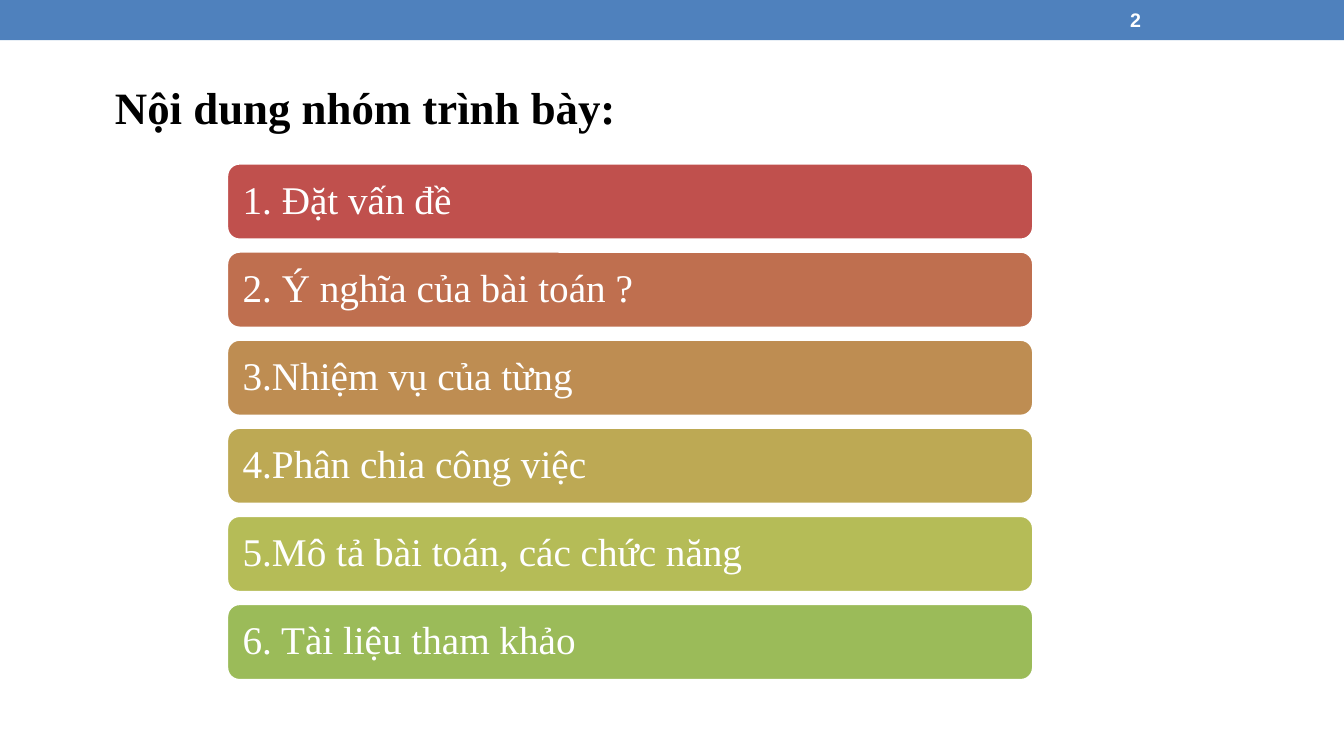
from dataclasses import dataclass

from pptx import Presentation
from pptx.dml.color import RGBColor
from pptx.enum.shapes import MSO_SHAPE
from pptx.enum.text import MSO_ANCHOR, MSO_AUTO_SIZE, PP_ALIGN
from pptx.util import Pt

TITLE = "Nội dung nhóm trình bày:"
PAGE = "2"
ITEMS = [
    ("1. Đặt vấn đề", "C0504D"),
    ("2. Ý nghĩa của bài toán ?", "BF6F4F"),
    ("3.Nhiệm vụ của từng", "BE8D52"),
    ("4.Phân chia công việc", "BDA954"),
    ("5.Mô tả bài toán, các chức năng", "B5BC57"),
    ("6. Tài liệu tham khảo", "9BBB59"),
]


@dataclass(frozen=True)
class Theme:
    serif: str = "Times New Roman"
    sans: str = "Arial"
    white: str = "FFFFFF"
    black: str = "000000"
    blue: str = "4F81BD"
    title: int = 32
    item: int = 28
    page: int = 14


LOOK = Theme()
SCALE = 9144  # EMU per px, 100 px to the inch
WIDE, HIGH = 1333, 750
LEFT, BAR_W, BAR_H = 225, 800, 76
FIRST, LAST = 162, 599  # tops of the first and last bar
STEP = (LAST - FIRST) / (len(ITEMS) - 1)
INSET = 12


def px(num):
    return round(num * SCALE)


def write(frame, text, size, font, color, bold=False):
    para = frame.paragraphs[0]
    para.alignment = PP_ALIGN.LEFT
    run = para.add_run()
    run.text = text
    run.font.size = Pt(size)
    run.font.name = font
    run.font.bold = bold
    run.font.color.rgb = RGBColor.from_string(color)
    return para


def add_block(slide, kind, box, color):
    shape = slide.shapes.add_shape(kind, *map(px, box))
    shape.shadow.inherit = False
    shape.fill.solid()
    shape.fill.fore_color.rgb = RGBColor.from_string(color)
    return shape


def add_head(slide):
    """Add the top band, the page number and the title."""
    band = add_block(slide, MSO_SHAPE.RECTANGLE, (0, 0, WIDE, 40), LOOK.blue)
    band.line.fill.background()

    page = slide.shapes.add_textbox(*map(px, (1111, 2, 156, 36))).text_frame
    page.word_wrap = True
    page.vertical_anchor = MSO_ANCHOR.MIDDLE
    write(page, PAGE, LOOK.page, LOOK.sans, LOOK.white, True)

    title = slide.shapes.title
    title.left, title.top, title.width, title.height = map(px, (104, 74, 521, 64))
    frame = title.text_frame
    frame.word_wrap = False
    frame.auto_size = MSO_AUTO_SIZE.SHAPE_TO_FIT_TEXT
    frame.vertical_anchor = MSO_ANCHOR.TOP
    write(frame, TITLE, LOOK.title, LOOK.serif, LOOK.black, True)


def add_bar(slide, row, text, color):
    box = (LEFT, FIRST + row * STEP, BAR_W, BAR_H)
    bar = add_block(slide, MSO_SHAPE.ROUNDED_RECTANGLE, box, color)
    bar.line.color.rgb = RGBColor.from_string(LOOK.white)
    bar.line.width = Pt(2)
    frame = bar.text_frame
    frame.word_wrap = True
    frame.vertical_anchor = MSO_ANCHOR.MIDDLE
    frame.margin_left = frame.margin_right = px(INSET)
    frame.margin_top = frame.margin_bottom = px(INSET)
    para = write(frame, text, LOOK.item, LOOK.serif, LOOK.white)
    para.line_spacing = 0.9


def main():
    deck = Presentation()
    deck.slide_width, deck.slide_height = px(WIDE), px(HIGH)
    slide = deck.slides.add_slide(deck.slide_layouts.get_by_name("Title Only"))
    add_head(slide)
    for row, (text, color) in enumerate(ITEMS):
        add_bar(slide, row, text, color)
    deck.save("out.pptx")


if __name__ == "__main__":
    main()
